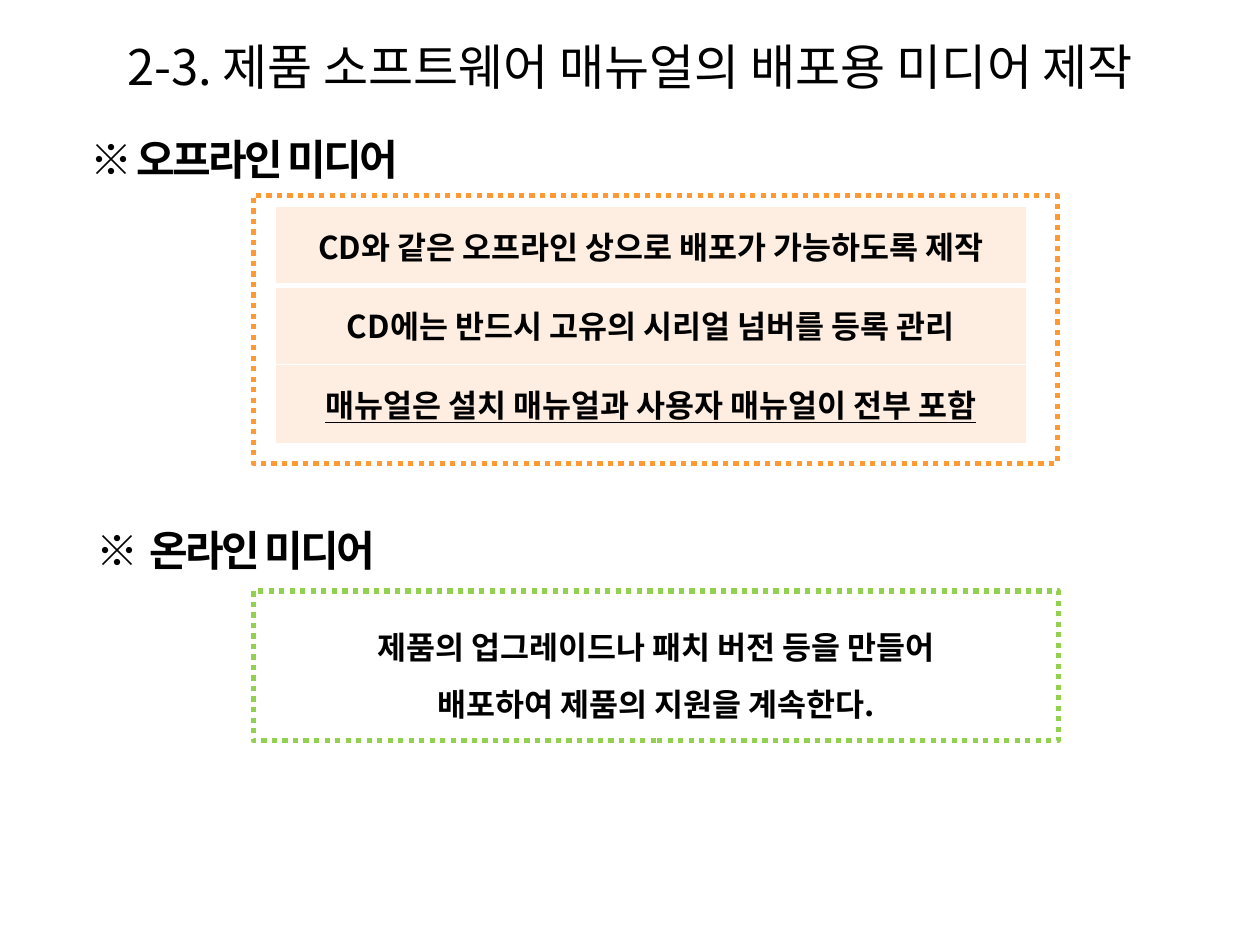
from lxml.etree import SubElement
from pptx import Presentation
from pptx.dml.color import RGBColor
from pptx.enum.dml import MSO_LINE
from pptx.enum.shapes import MSO_SHAPE
from pptx.enum.text import MSO_ANCHOR, PP_ALIGN
from pptx.oxml import parse_xml
from pptx.oxml.ns import nsdecls, qn
from pptx.util import Pt

FONT = "Noto Sans CJK KR"
HUES = {"ink": "000000", "orange": "FF9933", "green": "92D050",
        "peach": "FDEADA", "white": "FFFFFF"}


def tone(name):
    return RGBColor.from_string(HUES[name])


def write(frame, text, size=18, bold=True, under=False, align=PP_ALIGN.CENTER,
          anchor=MSO_ANCHOR.MIDDLE, lead=None, track=None):
    frame.word_wrap = True
    frame.vertical_anchor = anchor
    for i, line in enumerate(text.split("\n")):
        para = frame.add_paragraph() if i else frame.paragraphs[0]
        para.alignment = align
        para.line_spacing = lead
        run = para.add_run()
        run.text = line
        font = run.font
        font.size = Pt(size)
        font.bold = bold
        font.underline = under
        font.color.rgb = tone("ink")
        font.name = FONT
        props = run._r.get_or_add_rPr()
        SubElement(props, qn("a:ea")).set("typeface", FONT)
        if track:
            props.set("spc", str(int(track * 100)))


def label(slide, box, text, **style):
    shape = slide.shapes.add_textbox(*map(Pt, box))
    write(shape.text_frame, text, **style)


def head(slide, box, text):
    label(slide, box, text, size=24, track=-1.5, align=PP_ALIGN.LEFT,
          anchor=MSO_ANCHOR.TOP)


def frame(slide, box, hue):
    shape = slide.shapes.add_shape(MSO_SHAPE.RECTANGLE, *map(Pt, box))
    shape.shadow.inherit = False
    shape.fill.background()
    shape.line.color.rgb = tone(hue)
    shape.line.width = Pt(3)
    shape.line.dash_style = MSO_LINE.ROUND_DOT
    return shape


def paint(cell, top, base):
    cell.fill.solid()
    cell.fill.fore_color.rgb = tone("peach")
    props = cell._tc.get_or_add_tcPr()
    color = props.find(qn("a:solidFill"))[0]
    SubElement(color, qn("a:alpha")).set("val", "80000")
    edges = (("L", 1), ("R", 1), ("T", top), ("B", base))
    for i, (side, width) in enumerate(edges):
        props.insert(i, parse_xml(
            f'<a:ln{side} {nsdecls("a")} w="{Pt(width)}"><a:solidFill>'
            f'<a:srgbClr val="{HUES["white"]}"/></a:solidFill></a:ln{side}>'))


def table(slide, box, rows):
    grid = slide.shapes.add_table(len(rows), 1, *map(Pt, box)).table
    for i, (text, under) in enumerate(rows):
        cell = grid.cell(i, 0)
        paint(cell, 3 if i == 1 else 1, 3 if i == 0 else 1)
        write(cell.text_frame, text, under=under)
        cell.vertical_anchor = MSO_ANCHOR.MIDDLE


def main():
    """Build the slide on offline and online media for product manuals."""
    deck = Presentation()
    deck.slide_width, deck.slide_height = Pt(720), Pt(540)
    slide = deck.slides.add_slide(deck.slide_layouts[6])

    label(slide, (8.6, 3.6, 702.8, 67.7),
          "2-3. 제품 소프트웨어 매뉴얼의 배포용 미디어 제작", size=28, bold=False)

    head(slide, (44.6, 72.7, 247.7, 36), "※ 오프라인 미디어")
    frame(slide, (144.7, 111.6, 459.4, 153.4), "orange")
    table(slide, (157, 118.1, 429.8, 135.4), (
        ("CD와 같은 오프라인 상으로 배포가 가능하도록 제작", False),
        ("CD에는 반드시 고유의 시리얼 넘버를 등록 관리", False),
        ("매뉴얼은 설치 매뉴얼과 사용자 매뉴얼이 전부 포함", True)))

    head(slide, (48.2, 295.9, 198.7, 36), "※  온라인 미디어")
    online = frame(slide, (144.7, 337.7, 460.1, 85.7), "green")
    write(online.text_frame,
          "제품의 업그레이드나 패치 버전 등을 만들어\n배포하여 제품의 지원을 계속한다.",
          lead=1.5)

    deck.save("out.pptx")


if __name__ == "__main__":
    main()
